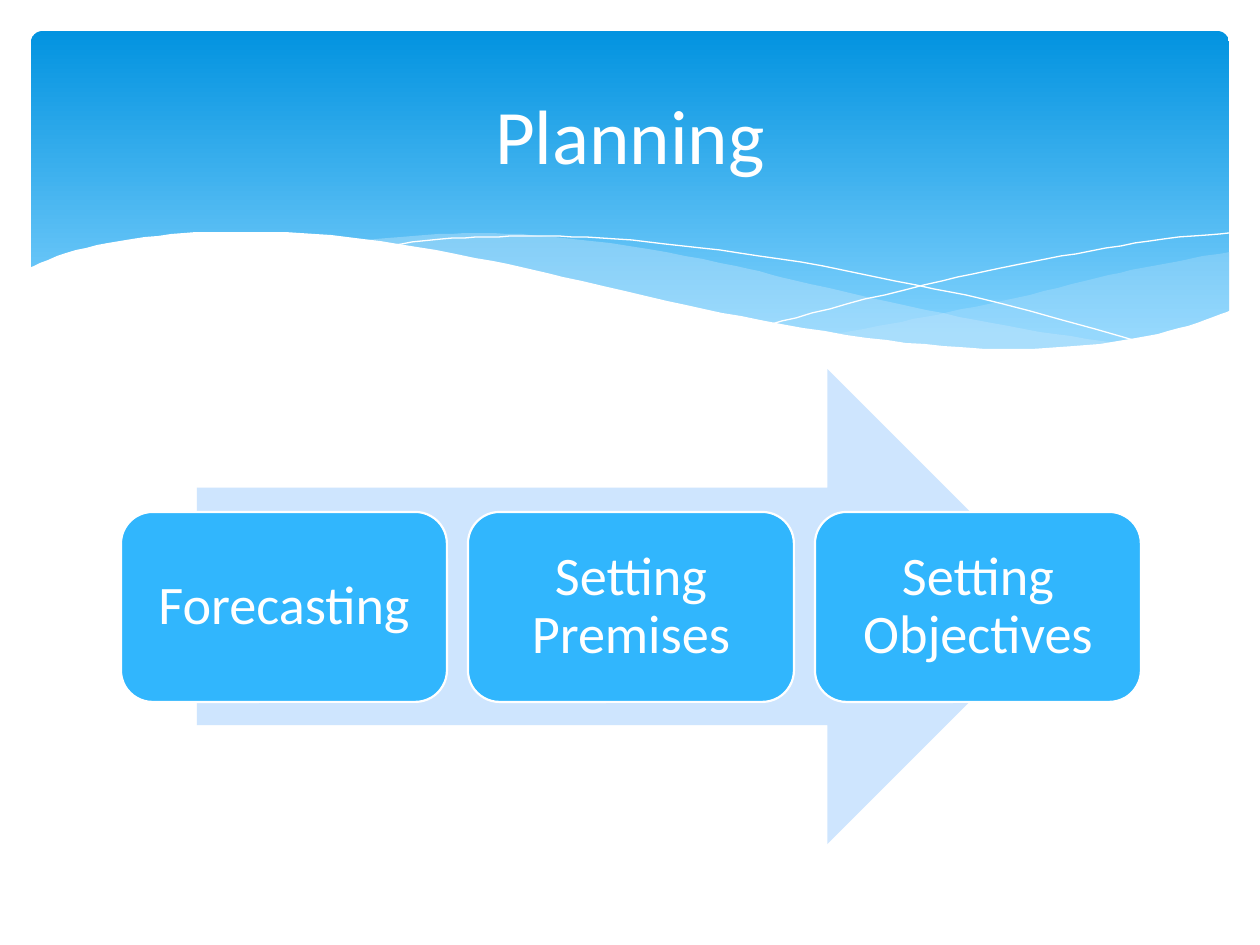
"""Builds the Planning slide: a wave header above a three-step arrow."""
from dataclasses import dataclass

import pptx
import pptx.dml.color
import pptx.enum.shapes
import pptx.enum.text
import pptx.oxml
import pptx.oxml.ns
import pptx.util

KIND = pptx.enum.shapes.MSO_SHAPE
SCALE = 914400 / 126


@dataclass(frozen=True)
class Theme:
    """Colours, font and type sizes."""
    font: str = "Calibri"
    white: str = "FFFFFF"
    deep: str = "0293E0"
    sky: str = "83D3FE"
    mist: str = "C6E7FC"
    pale: str = "CEE5FE"
    blue: str = "31B6FD"
    head: int = 44
    step: int = 31


def emu(px):
    """Turn px into EMU."""
    return pptx.util.Emu(round(px * SCALE))


def color(code):
    """Make a colour from its hex code."""
    return pptx.dml.color.RGBColor.from_string(code)


def smooth(knots, parts=5):
    """Run a Catmull-Rom curve through the knots."""
    ends = [knots[0], *knots, knots[-1]]
    curve = []
    for a, b, c, d in zip(ends, ends[1:], ends[2:], ends[3:]):
        for i in range(parts):
            t = i / parts
            curve.append(tuple(
                (2 * q + (r - p) * t + (2 * p - 5 * q + 4 * r - s) * t ** 2
                 + (3 * q - p - 3 * r + s) * t ** 3) / 2
                for p, q, r, s in zip(a, b, c, d)))
    return curve + [knots[-1]]


class Deck:
    """Holds the theme and the current slide."""

    def __init__(self, theme):
        """Start a deck with one title slide."""
        self.theme = theme
        self.show = pptx.Presentation()
        self.show.slide_width, self.show.slide_height = emu(1260), emu(945)
        self.slide = self.show.slides.add_slide(self.show.slide_layouts[5])

    def label(self, shape, text, size):
        """Set one centred run in a shape."""
        frame = shape.text_frame
        frame.word_wrap = True
        frame.vertical_anchor = pptx.enum.text.MSO_ANCHOR.MIDDLE
        para = frame.paragraphs[0]
        para.alignment = pptx.enum.text.PP_ALIGN.CENTER
        run = para.add_run()
        run.text = text
        run.font.name = self.theme.font
        run.font.size = pptx.util.Pt(size)
        run.font.color.rgb = color(self.theme.white)
        return para

    def title(self, text, box):
        """Place the title in front of the header."""
        shape = self.slide.shapes.title
        shape.left, shape.top, shape.width, shape.height = map(emu, box)
        self.label(shape, text, self.theme.head)
        shape.element.getparent().append(shape.element)

    def block(self, kind, box, fill):
        """Add a plain preset shape."""
        shape = self.slide.shapes.add_shape(kind, *map(emu, box))
        shape.shadow.inherit = False
        shape.fill.solid()
        shape.fill.fore_color.rgb = color(fill)
        shape.line.fill.background()
        return shape

    def header(self, box):
        """Add the gradient panel."""
        shape = self.block(KIND.ROUNDED_RECTANGLE, box, self.theme.deep)
        shape.adjustments[0] = 0.034
        shape.fill.gradient()
        shape.fill.gradient_angle = 270
        tones = ((0, self.theme.deep), (0.9, self.theme.sky))
        for stop, (place, tone) in zip(shape.fill.gradient_stops, tones):
            stop.position = place
            stop.color.rgb = color(tone)

    def trace(self, points, close):
        """Draw a freeform through the points."""
        first, *rest = points
        pen = self.slide.shapes.build_freeform(*first, scale=SCALE)
        pen.add_line_segments(rest, close=close)
        shape = pen.convert_to_shape()
        shape.shadow.inherit = False
        return shape

    def wave(self, points, fill, alpha=100):
        """Add a filled wave."""
        shape = self.trace(points, True)
        shape.line.fill.background()
        shape.fill.solid()
        shape.fill.fore_color.rgb = color(fill)
        if alpha < 100:
            tone = shape.element.spPr.find(".//" + pptx.oxml.ns.qn("a:srgbClr"))
            mark = pptx.oxml.parse_xml(
                f'<a:alpha {pptx.oxml.ns.nsdecls("a")} val="{alpha * 1000}"/>')
            tone.append(mark)

    def strand(self, knots):
        """Add a white hairline curve."""
        shape = self.trace(smooth(knots), False)
        shape.fill.background()
        shape.line.color.rgb = color(self.theme.white)
        shape.line.width = pptx.util.Pt(0)

    def step(self, text, box):
        """Add a step card."""
        shape = self.block(KIND.ROUNDED_RECTANGLE, box, self.theme.blue)
        shape.line.color.rgb = color(self.theme.white)
        shape.line.width = pptx.util.Pt(1.25)
        self.label(shape, text, self.theme.step).line_spacing = 0.9
        frame = shape.text_frame
        frame.margin_left = frame.margin_right = emu(16)
        frame.margin_top = frame.margin_bottom = emu(16)


RIGHT_TOP = [(1230, 252), (1194, 258), (1142, 268), (1085, 281), (1016, 298),
             (949, 312), (890, 324), (833, 334)]
RIGHT_LOW = [(833, 334), (888, 341), (954, 348), (1012, 350), (1087, 347),
             (1149, 338), (1196, 324), (1230, 311)]
MID_TOP = [(360, 241), (413, 236), (479, 233), (554, 237), (648, 249),
           (736, 266), (793, 280), (890, 302), (976, 320), (1055, 334),
           (1125, 344)]
MID_LOW = [(1125, 344), (1031, 350), (942, 348), (857, 338), (757, 321),
           (668, 302), (566, 280), (483, 261), (407, 247), (360, 241)]
FALL = [(389, 246), (432, 240), (488, 237), (546, 236), (616, 239),
        (701, 248), (801, 262), (916, 285), (1003, 304), (1143, 343)]
RISE = [(772, 324), (847, 304), (942, 281), (1016, 265), (1091, 251),
        (1164, 239), (1229, 233)]
EDGE = [(29, 268), (66, 253), (120, 241), (184, 233), (243, 232), (315, 234),
        (398, 244), (493, 261), (563, 277), (667, 301), (760, 320),
        (867, 338), (959, 347), (1019, 349), (1087, 345), (1147, 336),
        (1197, 323), (1231, 310)]
STEPS = ("Forecasting", "Setting Premises", "Setting Objectives")


def main():
    """Build and save the slide."""
    theme = Theme()
    deck = Deck(theme)
    deck.header((31, 31, 1198, 340))
    deck.wave(smooth(RIGHT_TOP) + smooth(RIGHT_LOW), theme.mist, 29)
    deck.wave(smooth(MID_TOP) + smooth(MID_LOW), theme.mist, 40)
    deck.strand(FALL)
    deck.strand(RISE)
    deck.wave(smooth(EDGE) + [(1231, 415), (29, 415)], theme.white)
    deck.block(KIND.RIGHT_ARROW, (197, 369, 868, 475), theme.pale)
    for i, text in enumerate(STEPS):
        deck.step(text, (121 + 347 * i, 512, 326, 190))
    deck.title("Planning", (63, 47, 1134, 173))
    deck.show.save("out.pptx")


if __name__ == "__main__":
    main()
